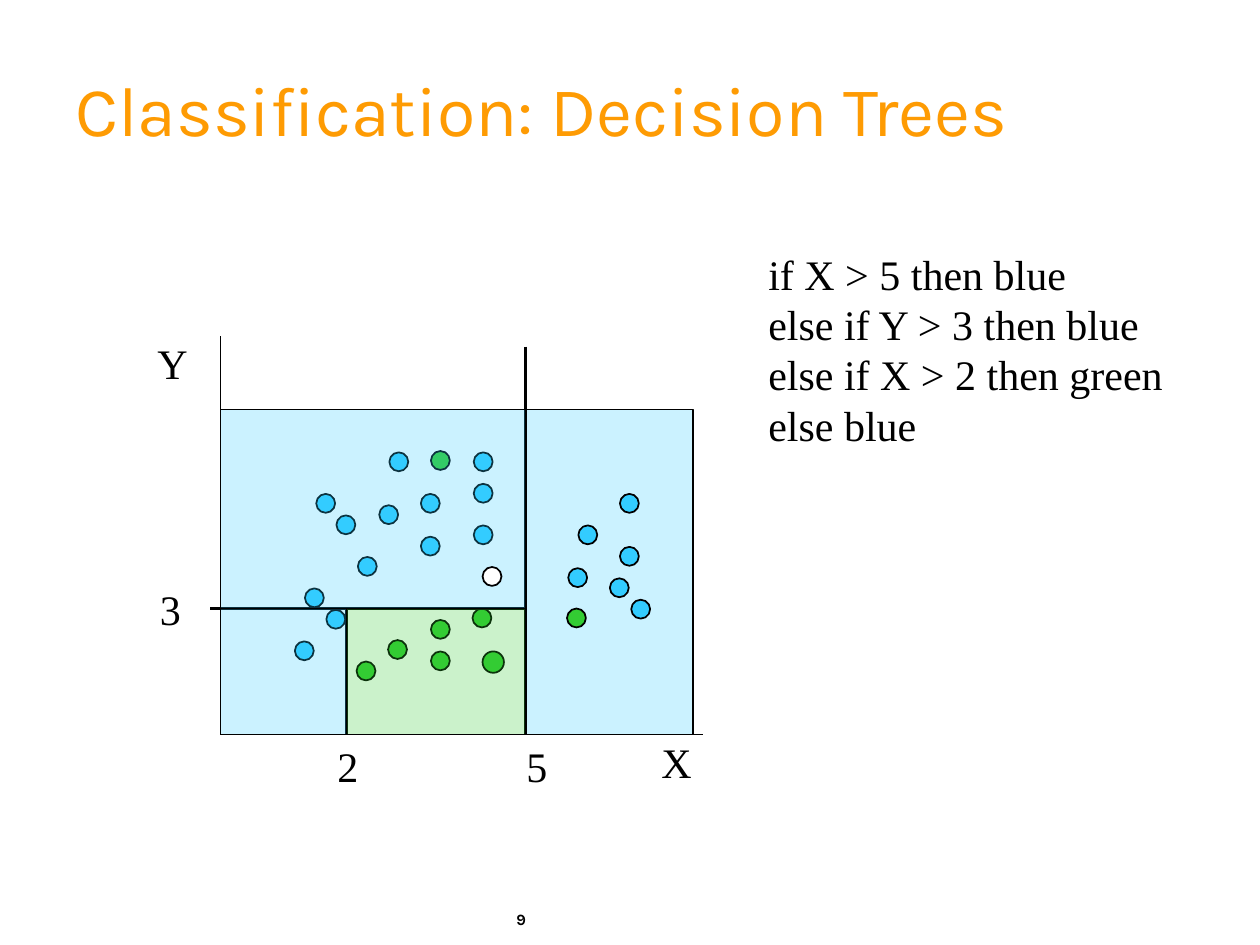
import pptx
import pptx.dml.color
import pptx.enum.shapes
import pptx.enum.text
import pptx.oxml
import pptx.oxml.ns
import pptx.util

Inches = pptx.util.Inches
Pt = pptx.util.Pt
MSO_SHAPE = pptx.enum.shapes.MSO_SHAPE
ANCHOR = pptx.enum.text.MSO_ANCHOR

BLACK, WHITE, ORANGE = "000000", "FFFFFF", "FE9B03"
BLUE, GREEN = "33CCFF", "33CC33"
SERIF = {"name": "Times New Roman", "size": Pt(24)}
HEADING = {"name": "Karla", "size": Pt(40)}
FOOTER = {"name": "Karla", "size": Pt(9), "bold": True}


def rgb(value):
    return pptx.dml.color.RGBColor.from_string(value)


class Painter:
    """Draws styled elements on the current slide."""

    def __init__(self, slide, ink=BLACK):
        self.slide = slide
        self.ink = ink

    def text(self, lines, left, top, width, height, style, color=None,
             anchor=ANCHOR.TOP, spacing=None):
        box = self.slide.shapes.add_textbox(*map(Inches, (left, top, width, height)))
        frame = box.text_frame
        frame.word_wrap = True
        frame.vertical_anchor = anchor
        frame.text = "\n".join(lines)
        for paragraph in frame.paragraphs:
            paragraph.line_spacing = spacing
            font = paragraph.runs[0].font
            font.color.rgb = rgb(color or self.ink)
            for name, value in style.items():
                setattr(font, name, value)

    def shape(self, kind, left, top, width, height, fill, weight):
        shape = self.slide.shapes.add_shape(kind, *map(Inches, (left, top, width, height)))
        shape.shadow.inherit = False
        shape.fill.solid()
        shape.fill.fore_color.rgb = rgb(fill)
        shape.line.color.rgb = rgb(self.ink)
        shape.line.width = Pt(weight)
        return shape

    def dot(self, left, top, fill, size=0.15):
        self.shape(MSO_SHAPE.OVAL, left, top, size, size, fill, 1)

    def region(self, left, top, right, bottom, fill):
        area = self.shape(MSO_SHAPE.RECTANGLE, left, top, right - left, bottom - top, fill, 0.75)
        color = area.fill._xPr.find(".//" + pptx.oxml.ns.qn("a:srgbClr"))
        color.append(pptx.oxml.parse_xml(
            f'<a:alpha {pptx.oxml.ns.nsdecls("a")} val="25000"/>'))

    def line(self, x1, y1, x2, y2, weight):
        line = self.slide.shapes.add_connector(
            pptx.enum.shapes.MSO_CONNECTOR.STRAIGHT, *map(Inches, (x1, y1, x2, y2)))
        line.line.color.rgb = rgb(self.ink)
        line.line.width = Pt(weight)
        line._element.spPr.append(pptx.oxml.parse_xml(
            f'<a:effectLst {pptx.oxml.ns.nsdecls("a")}/>'))


ORIGIN_X, ORIGIN_Y = 1.75, 5.83
X_TWO, X_FIVE, Y_THREE = 2.75, 4.17, 4.83
PLOT_TOP, PLOT_RIGHT = 3.25, 5.5

BLUE_DOTS = [
    (2.51, 3.92), (2.67, 4.09), (3.01, 4.01), (3.34, 3.92), (2.42, 4.67),
    (3.76, 3.59), (2.84, 4.42), (3.34, 4.26), (3.76, 4.17), (2.59, 4.84),
    (2.34, 5.09), (3.09, 3.59), (3.76, 3.84), (4.92, 3.92), (4.59, 4.17),
    (4.51, 4.51), (4.84, 4.59), (5.01, 4.76), (4.92, 4.34),
]
GREEN_DOTS = [
    (2.83, 5.25), (3.08, 5.08), (3.42, 5.17), (3.42, 4.92),
    (3.75, 4.83), (3.83, 5.17, 0.17), (3.42, 3.58), (4.5, 4.83),
]
RULES = [
    "if X > 5 then blue",
    "else if Y > 3 then blue",
    "else if X > 2 then green",
    "else blue",
]
LABELS = [
    ("X", 5.15, 5.8, 0.44), ("Y", 1.15, 2.63, 0.44),
    ("5", 4.08, 5.83, 0.37), ("2", 2.58, 5.83, 0.37), ("3", 1.17, 4.58, 0.37),
]


def main():
    deck = pptx.Presentation()
    deck.slide_width, deck.slide_height = Inches(10), Inches(7.5)
    painter = Painter(deck.slides.add_slide(deck.slide_layouts[6]))

    painter.text(["9"], 4, 7.17, 1.02, 0.33, FOOTER)
    painter.region(X_FIVE, PLOT_TOP, PLOT_RIGHT, ORIGIN_Y, BLUE)
    painter.text(["Classification: Decision Trees"], 0.5, 0.25, 9.08, 1, HEADING,
                 ORANGE, ANCHOR.BOTTOM, 0.85)

    painter.line(ORIGIN_X, 2.67, ORIGIN_X, ORIGIN_Y, 1)
    painter.line(ORIGIN_X, ORIGIN_Y, 5.58, ORIGIN_Y, 1)
    for fill, dots in ((BLUE, BLUE_DOTS), (GREEN, GREEN_DOTS)):
        for left, top, *size in dots:
            painter.dot(left, top, fill, *size)

    painter.line(X_FIVE, 2.75, X_FIVE, ORIGIN_Y, 2)
    painter.line(X_FIVE, Y_THREE, 1.67, Y_THREE, 2)
    painter.line(X_TWO, Y_THREE, X_TWO, ORIGIN_Y, 2)
    painter.region(ORIGIN_X, PLOT_TOP, X_FIVE, Y_THREE, BLUE)
    painter.region(ORIGIN_X, Y_THREE, X_TWO, ORIGIN_Y, BLUE)
    painter.region(X_TWO, Y_THREE, X_FIVE, ORIGIN_Y, GREEN)

    painter.text(RULES, 6, 1.92, 3.33, 1.7, SERIF)
    for label, left, top, width in LABELS:
        painter.text([label], left, top, width, 0.5, SERIF)
    painter.dot(3.83, 4.5, WHITE)

    deck.save("out.pptx")


if __name__ == "__main__":
    main()
